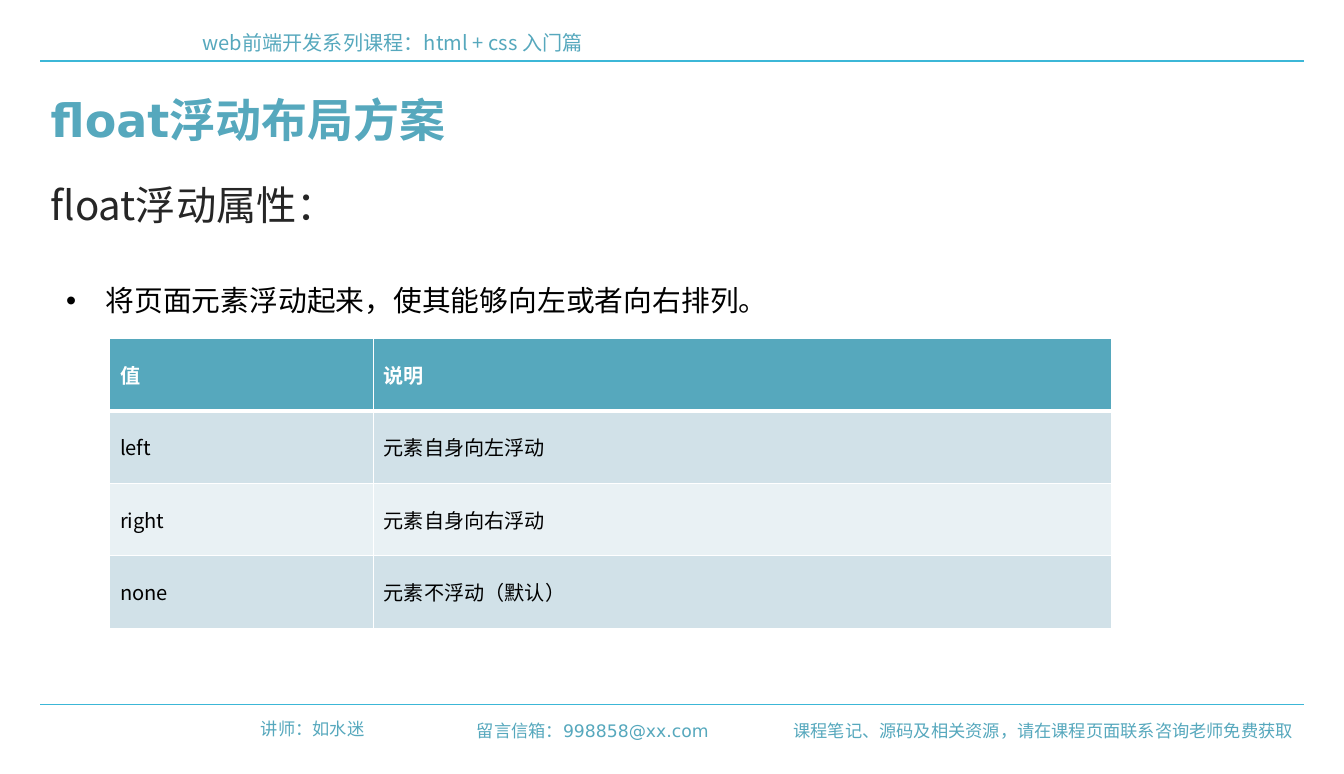
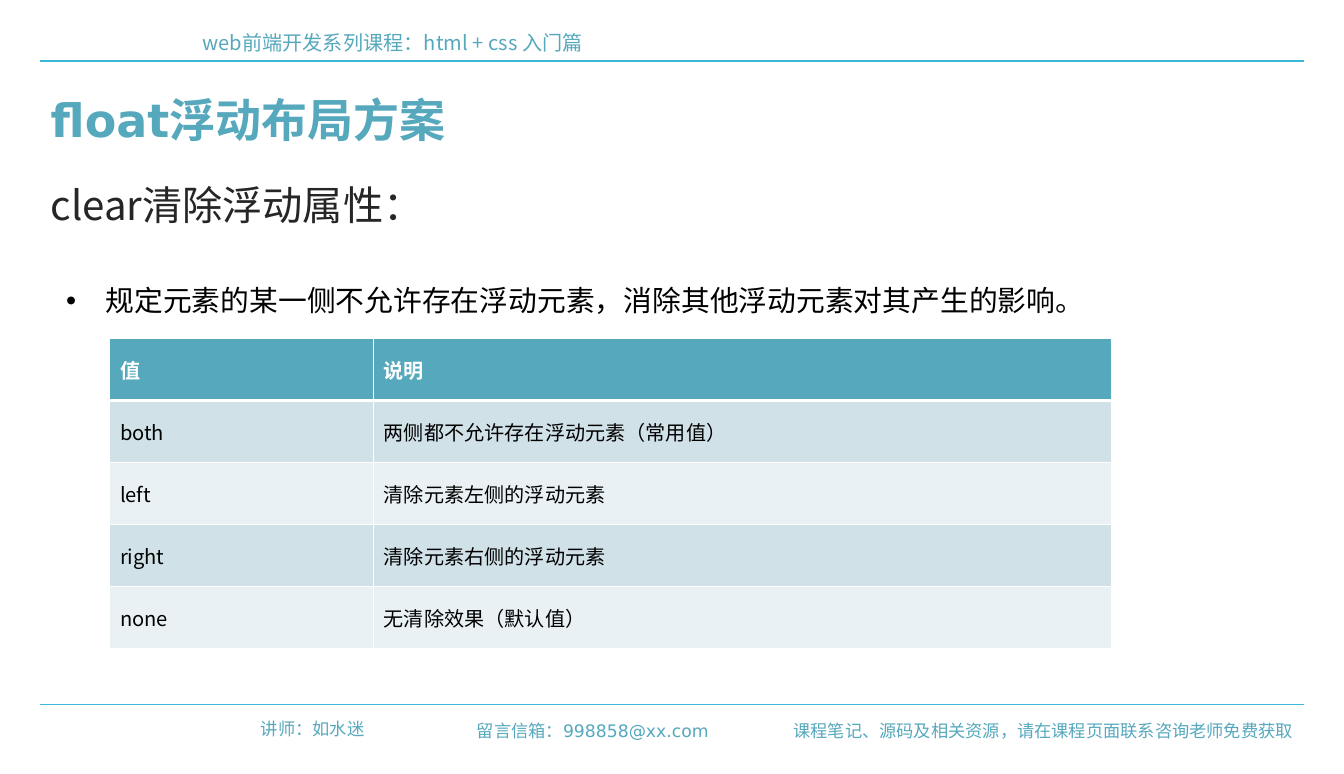
"""Two course slides on the float and clear properties, each with a value table."""
import pptx
import pptx.util
import pptx.dml.color
import pptx.enum.shapes
import pptx.enum.text
import pptx.oxml
import pptx.oxml.ns

Inches, Pt = pptx.util.Inches, pptx.util.Pt
RGBColor = pptx.dml.color.RGBColor
ALIGN = pptx.enum.text.PP_ALIGN
MIDDLE = pptx.enum.text.MSO_ANCHOR.MIDDLE
NAMESPACE = pptx.oxml.ns.nsdecls("a")

TEAL = RGBColor(0x56, 0xA8, 0xBD)
CYAN = RGBColor(0x3C, 0xB7, 0xD7)
CHARCOAL = RGBColor(0x26, 0x26, 0x26)
BLACK = RGBColor(0, 0, 0)
WHITE = RGBColor(0xFF, 0xFF, 0xFF)
BANDS = [RGBColor(0xE9, 0xF1, 0xF4), RGBColor(0xD1, 0xE1, 0xE8)]
CJK, LATIN = "Noto Sans CJK SC", "DejaVu Sans"

TITLE = "float浮动布局方案"
RULES = [0.59, 6.81]
SHARED_TEXTS = [
    ("web前端开发系列课程：html + css 入门篇", (1.86, 0.24, 10.51, 0.34), 14, CJK, ALIGN.LEFT),
    ("讲师：如水迷", (2.24, 6.89, 1.38, 0.3), 12, LATIN, ALIGN.RIGHT),
    ("留言信箱：998858@xx.com", (4.29, 6.91, 2.66, 0.3), 12, LATIN, ALIGN.RIGHT),
    ("课程笔记、源码及相关资源，请在课程页面联系咨询老师免费获取",
     (7.52, 6.91, 5.08, 0.3), 12, LATIN, ALIGN.RIGHT),
]
HEADER = ("值", "说明")
PAGES = [
    ("float浮动属性：", "将页面元素浮动起来，使其能够向左或者向右排列。", 0.7, [
        ("left", "元素自身向左浮动"),
        ("right", "元素自身向右浮动"),
        ("none", "元素不浮动（默认）"),
    ]),
    ("clear清除浮动属性：", "规定元素的某一侧不允许存在浮动元素，消除其他浮动元素对其产生的影响。", 0.6, [
        ("both", "两侧都不允许存在浮动元素（常用值）"),
        ("left", "清除元素左侧的浮动元素"),
        ("right", "清除元素右侧的浮动元素"),
        ("none", "无清除效果（默认值）"),
    ]),
]


def write(frame, text, size, name, color, bold=False, align=ALIGN.LEFT):
    frame.text = text
    frame.vertical_anchor = MIDDLE
    para = frame.paragraphs[0]
    para.alignment = align
    para.font.size, para.font.name, para.font.bold = Pt(size), name, bold
    para.font.color.rgb = color
    defaults = para._p.pPr.find(pptx.oxml.ns.qn("a:defRPr"))
    defaults.append(pptx.oxml.parse_xml(f'<a:ea {NAMESPACE} typeface="{CJK}"/>'))
    return para


def place(box, left, top, width, height):
    box.left, box.top = Inches(left), Inches(top)
    box.width, box.height = Inches(width), Inches(height)
    box.text_frame.word_wrap = True
    box.text_frame.auto_size = pptx.enum.text.MSO_AUTO_SIZE.NONE
    return box.text_frame


deck = pptx.Presentation()
deck.slide_width, deck.slide_height = Inches(12.99), Inches(7.48)

for heading, point, row_height, rows in PAGES:
    page = deck.slides.add_slide(deck.slide_layouts[1])

    for height in RULES:
        rule = page.shapes.add_connector(
            pptx.enum.shapes.MSO_CONNECTOR.STRAIGHT,
            Inches(0.39), Inches(height), Inches(12.6), Inches(height))
        rule.line.color.rgb = CYAN
        rule.line.width = Pt(0.75)
        rule._element.spPr.append(pptx.oxml.parse_xml(f"<a:effectLst {NAMESPACE}/>"))

    for text, area, size, name, align in SHARED_TEXTS:
        box = page.shapes.add_textbox(0, 0, 0, 0)
        write(place(box, *area), text, size, name, TEAL, align=align)

    write(place(page.shapes.title, 0.39, 0.83, 12.2, 0.64), TITLE, 32, LATIN, TEAL, bold=True)
    box = page.shapes.add_textbox(0, 0, 0, 0)
    write(place(box, 0.39, 1.69, 6.65, 0.57), heading, 28, CJK, CHARCOAL)

    body = place(page.placeholders[1], 0.54, 2.4, 11, 0.67)
    para = write(body, point, 20, LATIN, BLACK)
    para.line_spacing = 2.0
    para.space_before = Pt(0)
    para._p.pPr.set("marL", str(Inches(0.38)))
    para._p.pPr.set("indent", str(Inches(-0.38)))

    table = page.shapes.add_table(
        len(rows) + 1, 2, Inches(1.06), Inches(3.27),
        Inches(9.68), Inches(row_height * (len(rows) + 1))).table
    table.columns[0].width, table.columns[1].width = Inches(2.55), Inches(7.13)
    for row, values in enumerate([HEADER] + rows):
        table.rows[row].height = Inches(row_height)
        is_header = row == 0
        edges = {"lnL": 1, "lnR": 1, "lnT": 3 if row == 1 else 1, "lnB": 3 if is_header else 1}
        for column, value in enumerate(values):
            cell = table.cell(row, column)
            write(cell.text_frame, value, 14, CJK, WHITE if is_header else BLACK, bold=is_header)
            cell.vertical_anchor = MIDDLE
            properties = cell._tc.get_or_add_tcPr()
            for edge, width in edges.items():
                properties.append(pptx.oxml.parse_xml(
                    f'<a:{edge} {NAMESPACE} w="{Pt(width)}"><a:solidFill>'
                    f'<a:srgbClr val="{WHITE}"/></a:solidFill></a:{edge}>'))
            cell.fill.solid()
            cell.fill.fore_color.rgb = TEAL if is_header else BANDS[row % 2]

deck.save("out.pptx")
